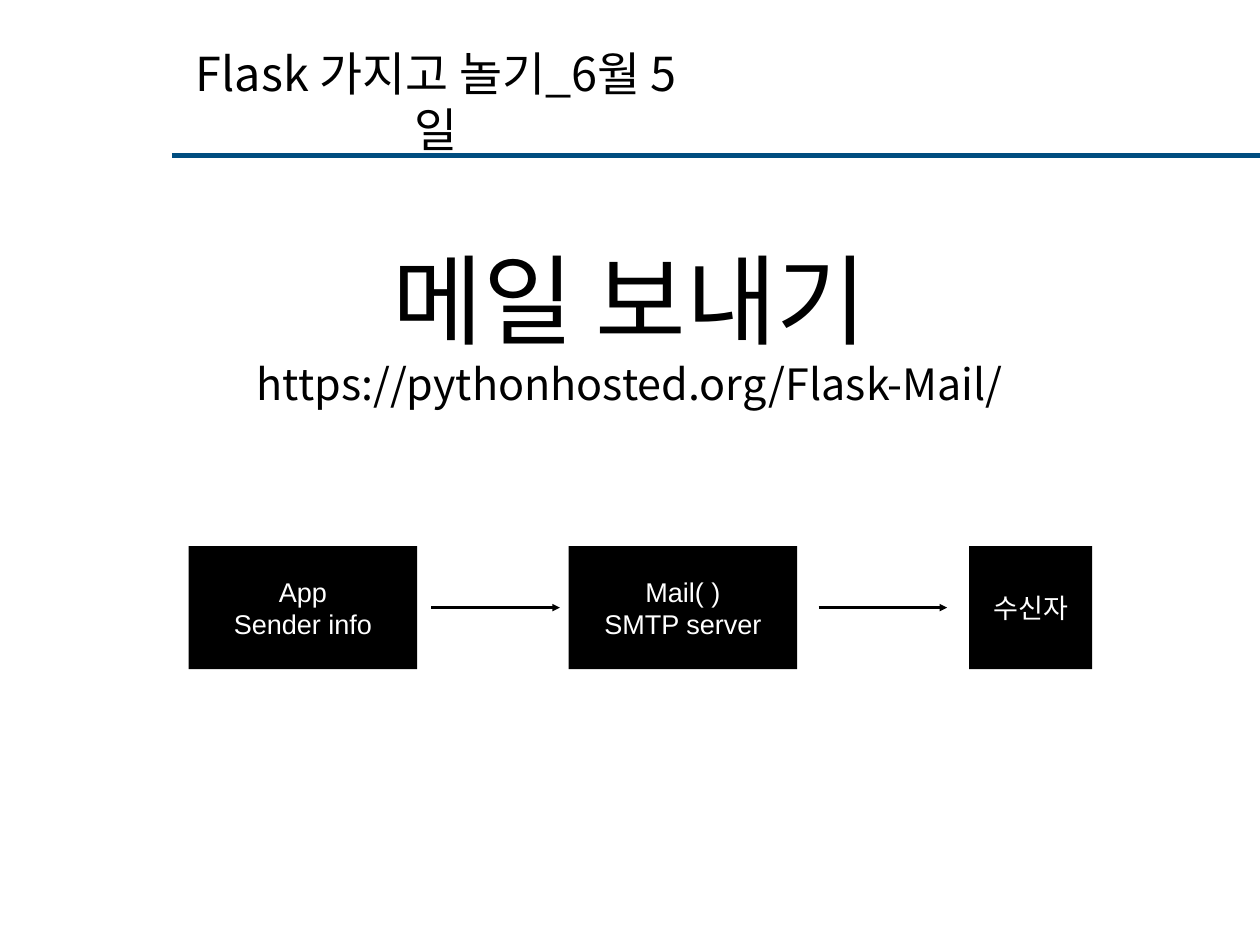
from lxml import etree
from pptx import Presentation
from pptx.dml.color import RGBColor
from pptx.enum.shapes import MSO_AUTO_SHAPE_TYPE, MSO_CONNECTOR_TYPE
from pptx.enum.text import MSO_ANCHOR, MSO_AUTO_SIZE, PP_ALIGN
from pptx.oxml.ns import qn
from pptx.util import Pt

RECTANGLE = MSO_AUTO_SHAPE_TYPE.RECTANGLE
STRAIGHT = MSO_CONNECTOR_TYPE.STRAIGHT
MIDDLE = MSO_ANCHOR.MIDDLE
FIT_SHAPE = MSO_AUTO_SIZE.SHAPE_TO_FIT_TEXT
CENTER = PP_ALIGN.CENTER

BLACK = RGBColor(0x00, 0x00, 0x00)
WHITE = RGBColor(0xFF, 0xFF, 0xFF)
NAVY = RGBColor(0x00, 0x4D, 0x80)
KOREAN_FONT = "Noto Sans CJK KR"
BOX_FONT = "Arial"

# Content: headings as (left, top, width, height), [(text, size)]
PAGE_WIDTH, PAGE_HEIGHT = 1024, 768
HEADINGS = [
    ((147.6, 59, 414, 46), [("Flask 가지고 놀기_6월 5일", 38)]),
    ((175, 189.4, 674, 147.6),
     [("메일 보내기", 80), ("https://pythonhosted.org/Flask-Mail/", 35)]),
]
# Mail flow: left, width, lines
STEPS = [
    (153.4, 185.6, ["App", "Sender info"]),
    (462.2, 185.6, ["Mail( )", "SMTP server"]),
    (787.7, 100, ["수신자"]),
]
STEP_TOP, STEP_HEIGHT, STEP_SIZE = 443.8, 100, 22
ARROW_STARTS, ARROW_LENGTH = [350.6, 665.3], 104.4
RULE_LEFT, RULE_Y = 139.7, 126.7
INSET = 4


def fill_text(box, lines, font_name, color):
    frame = box.text_frame
    frame.vertical_anchor = MIDDLE
    frame.margin_left = frame.margin_right = Pt(INSET)
    frame.margin_top = frame.margin_bottom = Pt(INSET)
    for index, (text, size) in enumerate(lines):
        para = frame.add_paragraph() if index else frame.paragraphs[0]
        para.text = text
        para.alignment = CENTER
        para.font.name = font_name
        para.font.size = Pt(size)
        para.font.color.rgb = color


def add_line(page, left, right, y, color, width):
    line = page.shapes.add_connector(STRAIGHT, Pt(left), Pt(y), Pt(right), Pt(y))
    line.line.color.rgb = color
    line.line.width = Pt(width)
    etree.SubElement(line._element.spPr, qn("a:effectLst"))
    return line


deck = Presentation()
deck.slide_width, deck.slide_height = Pt(PAGE_WIDTH), Pt(PAGE_HEIGHT)
page = deck.slides.add_slide(deck.slide_layouts[6])

# Rule under the title
add_line(page, RULE_LEFT, PAGE_WIDTH, RULE_Y, NAVY, 4)

# Title and topic
for place, lines in HEADINGS:
    box = page.shapes.add_textbox(*map(Pt, place))
    fill_text(box, lines, KOREAN_FONT, BLACK)
    box.text_frame.word_wrap = False
    box.text_frame.auto_size = FIT_SHAPE

# Boxes of the mail flow
for left, width, lines in STEPS:
    box = page.shapes.add_shape(
        RECTANGLE, Pt(left), Pt(STEP_TOP), Pt(width), Pt(STEP_HEIGHT))
    box.shadow.inherit = False
    box.fill.solid()
    box.fill.fore_color.rgb = BLACK
    box.line.fill.background()
    fill_text(box, [(text, STEP_SIZE) for text in lines], BOX_FONT, WHITE)

# Arrows between the boxes
for start in ARROW_STARTS:
    arrow = add_line(page, start, start + ARROW_LENGTH,
                     STEP_TOP + STEP_HEIGHT / 2, BLACK, 2)
    outline = arrow._element.spPr.find(qn("a:ln"))
    etree.SubElement(outline, qn("a:tailEnd"), type="triangle")

deck.save("out.pptx")
